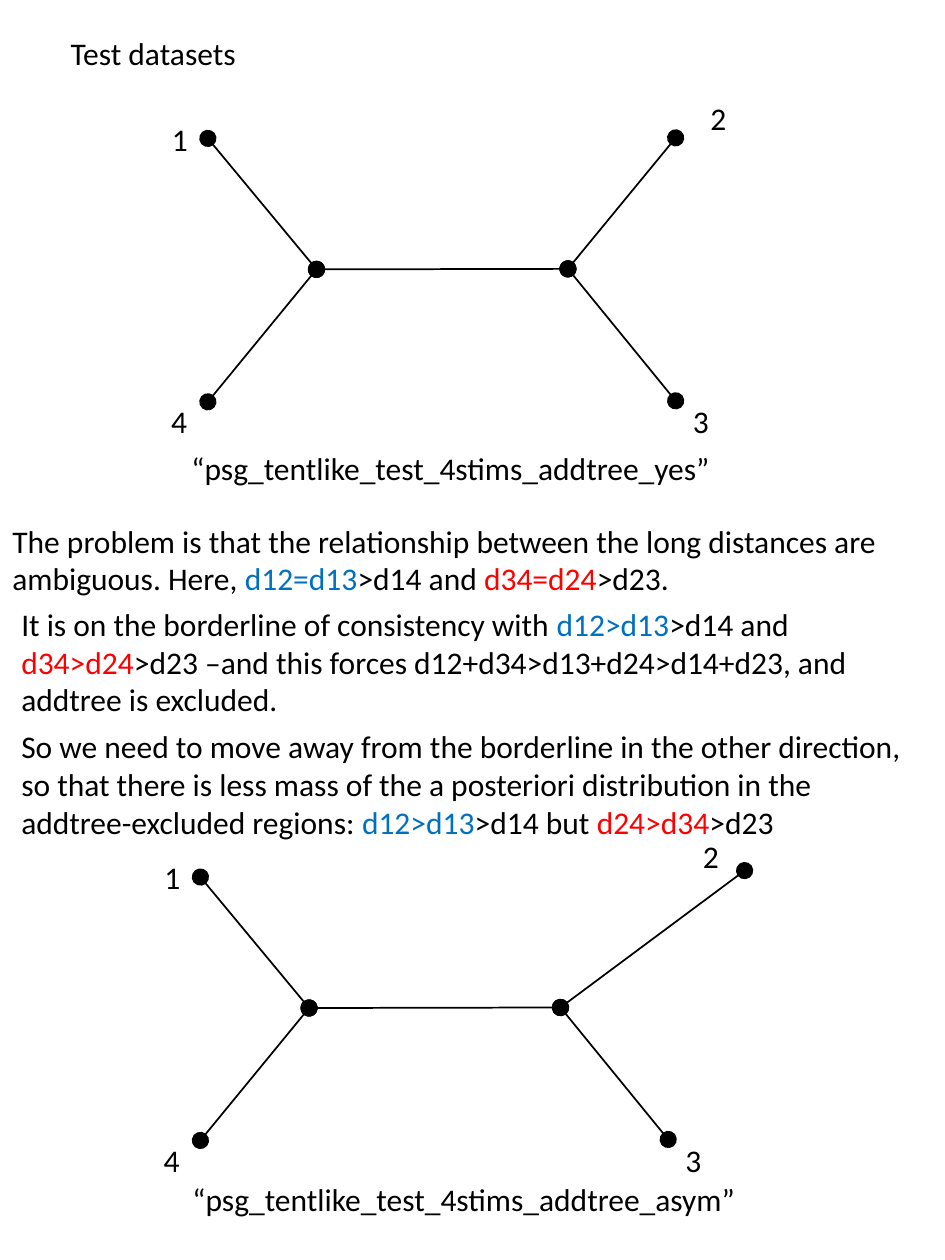
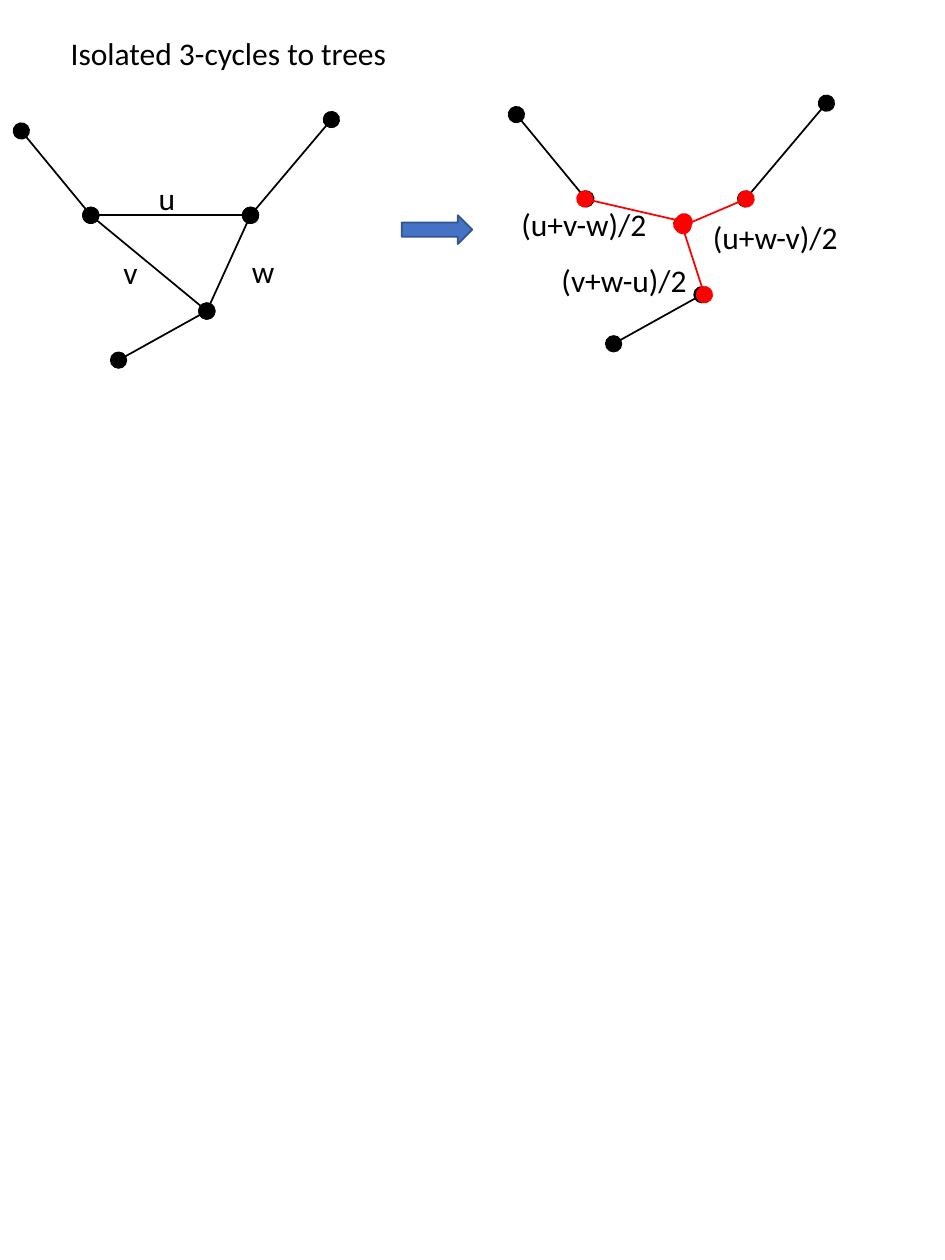
"""Build two portrait slides on tree test datasets and on turning 3-cycles into trees."""
import pptx
import pptx.dml.color
import pptx.enum.shapes
import pptx.enum.text
import pptx.oxml
import pptx.oxml.ns
import pptx.util

Cm = pptx.util.Cm
Pt = pptx.util.Pt
RGBColor = pptx.dml.color.RGBColor
Align = pptx.enum.text.PP_ALIGN
Anchor = pptx.enum.text.MSO_ANCHOR

BLACK = RGBColor(0x00, 0x00, 0x00)
RED = RGBColor(0xFF, 0x00, 0x00)
BLUE = RGBColor(0x00, 0x70, 0xC0)
ARROW_FILL = RGBColor(0x44, 0x72, 0xC4)
ARROW_LINE = RGBColor(0x32, 0x54, 0x91)
FONT = "Calibri"
LINE_HEIGHT = 1.02

TITLES = [("Test datasets", 3.89), ("Isolated 3-cycles to trees", 6.93)]

TREE_NODES = {
    "left": (6.38, 5.43), "right": (11.45, 5.42),
    "1": (4.19, 2.79), "2": (13.62, 2.78), "3": (13.62, 8.08), "4": (4.19, 8.1),
}
TREE_EDGES = [("left", "right"), ("1", "left"), ("4", "left"), ("2", "right"), ("3", "right")]
TREE_LABELS = {
    "1": (3.46, 2.41, 0.33, 0.77), "4": (3.1, 8.1, 1.02, 0.78),
    "3": (13.62, 8.1, 1.02, 0.78), "2": (13.97, 1.98, 1.02, 0.78),
}
TREES = [
    ((0, 0), {}, "“psg_tentlike_test_4stims_addtree_yes”", (3.61, 8.92, 11.07)),
    ((-0.15, 14.89), {"2": (15.16, 2.66)}, "“psg_tentlike_test_4stims_addtree_asym”",
     (3.63, 23.67, 11.56)),
]
EXPLANATIONS = [
    ((0, 10.39, 18.29, 1.8), [
        ("The problem is that the relationship between the long distances are ambiguous. Here, ", BLACK),
        ("d12=d13", BLUE), (">d14 and ", BLACK), ("d34=d24", RED), (">d23.", BLACK)]),
    ((0.18, 12.07, 18.29, 2.57), [
        ("It is on the borderline of consistency with ", BLACK),
        ("d12>d13", BLUE), (">d14 and ", BLACK), ("d34>d24", RED),
        (">d23 –and this forces d12+d34>d13+d24>d14+d23, and addtree is excluded.", BLACK)]),
    ((0.18, 14.53, 18.29, 2.57), [
        ("So we need to move away from the borderline in the other direction, so that there is "
         "less mass of the a posteriori distribution in the addtree-excluded regions: ", BLACK),
        ("d12>d13", BLUE), (">d14 but ", BLACK), ("d24>d34", RED), (">d23", BLACK)]),
]

CYCLE = [(1.83, 4.34), (5.05, 4.34), (4.17, 6.27)]
CYCLE_TIPS = [(0.43, 2.64), (6.68, 2.41), (2.39, 7.26)]
STAR_OFFSET = (9.98, -0.33)
STAR_EDGES = [
    ((13.77, 4.55), (15.04, 4.01)),
    ((13.79, 4.47), (11.79, 4.01)),
    ((14.2, 5.94), (13.74, 4.52)),
]
LENGTH_LABELS = [
    ("u", 2.95, 3.48, 0.86), ("v", 2.24, 4.98, 0.81), ("w", 4.83, 4.95, 0.97),
    ("(u+v-w)/2", 10.26, 4.01, 3.07), ("(v+w-u)/2", 11.07, 5.13, 3.07),
    ("(u+w-v)/2", 14.12, 4.27, 3.07),
]
ARROW_BOX = (8.1, 4.34, 1.42, 0.58)


def lengths(values):
    return [Cm(value) for value in values]


def shifted(point, offset):
    return point[0] + offset[0], point[1] + offset[1]


def style_runs(paragraph, colors):
    for run, color in zip(paragraph.runs, colors):
        run.font.name = FONT
        run.font.size = Pt(18)
        run.font.color.rgb = color


def add_titled_slide(presentation, title, width):
    slide = presentation.slides.add_slide(presentation.slide_layouts[5])
    shape = slide.shapes.title
    shape.left, shape.top, shape.width, shape.height = lengths((1.17, 0.56, width, LINE_HEIGHT))
    frame = shape.text_frame
    frame.text = title
    frame.word_wrap = False
    frame.auto_size = pptx.enum.text.MSO_AUTO_SIZE.NONE
    frame.vertical_anchor = Anchor.TOP
    frame.paragraphs[0].alignment = Align.LEFT
    style_runs(frame.paragraphs[0], [BLACK])
    return slide


def add_text(slide, box, segments, wrap=False):
    frame = slide.shapes.add_textbox(*lengths(box)).text_frame
    frame.word_wrap = wrap
    paragraph = frame.paragraphs[0]
    for text, _ in segments:
        paragraph.add_run().text = text
    style_runs(paragraph, [color for _, color in segments])
    return frame


def add_node_label(slide, text, box):
    frame = add_text(slide, box, [(text, BLACK)], wrap=len(text) > 1)
    frame.margin_left = frame.margin_right = frame.margin_top = frame.margin_bottom = 0
    frame.vertical_anchor = Anchor.MIDDLE
    frame.paragraphs[0].alignment = Align.CENTER


def add_edge(slide, start, end, color=BLACK):
    connector = slide.shapes.add_connector(
        pptx.enum.shapes.MSO_CONNECTOR.STRAIGHT, *lengths(start + end))
    connector.line.color.rgb = color
    connector.line.width = Pt(1)
    line = connector.line._get_or_add_ln()
    for tag in ("a:headEnd", "a:tailEnd"):
        dot = pptx.oxml.parse_xml(f"<{tag} {pptx.oxml.ns.nsdecls('a')}/>")
        for name, value in (("type", "oval"), ("w", "lg"), ("len", "lg")):
            dot.set(name, value)
        line.append(dot)
    properties = connector._element.spPr
    properties.append(pptx.oxml.parse_xml(f"<a:effectLst {pptx.oxml.ns.nsdecls('a')}/>"))


def add_tree(slide, offset, moved, caption, caption_box):
    nodes = {name: shifted(point, offset) for name, point in {**TREE_NODES, **moved}.items()}
    for start, end in TREE_EDGES:
        add_edge(slide, nodes[start], nodes[end])
    for text, (left, top, width, height) in TREE_LABELS.items():
        add_node_label(slide, text, shifted((left, top), offset) + (width, height))
    add_text(slide, caption_box + (LINE_HEIGHT,), [(caption, BLACK)])


def add_arrow(slide):
    arrow = slide.shapes.add_shape(
        pptx.enum.shapes.MSO_SHAPE.RIGHT_ARROW, *lengths(ARROW_BOX))
    arrow.shadow.inherit = False
    arrow.fill.solid()
    arrow.fill.fore_color.rgb = ARROW_FILL
    arrow.line.color.rgb = ARROW_LINE
    arrow.line.width = Pt(1)


def build_datasets(slide):
    for tree in TREES:
        add_tree(slide, *tree)
    for box, segments in EXPLANATIONS:
        add_text(slide, box, segments, wrap=True)


def build_cycles(slide):
    for index, corner in enumerate(CYCLE):
        add_edge(slide, corner, CYCLE[index - 1])
    for offset in ((0, 0), STAR_OFFSET):
        for corner, tip in zip(CYCLE, CYCLE_TIPS):
            add_edge(slide, shifted(corner, offset), shifted(tip, offset))
    for start, end in STAR_EDGES:
        add_edge(slide, start, end, RED)
    add_arrow(slide)
    for text, left, top, width in LENGTH_LABELS:
        add_text(slide, (left, top, width, LINE_HEIGHT), [(text, BLACK)])


presentation = pptx.Presentation()
presentation.slide_width = Cm(19.05)
presentation.slide_height = Cm(25.4)
for (title, width), build in zip(TITLES, (build_datasets, build_cycles)):
    build(add_titled_slide(presentation, title, width))
presentation.save("out.pptx")
